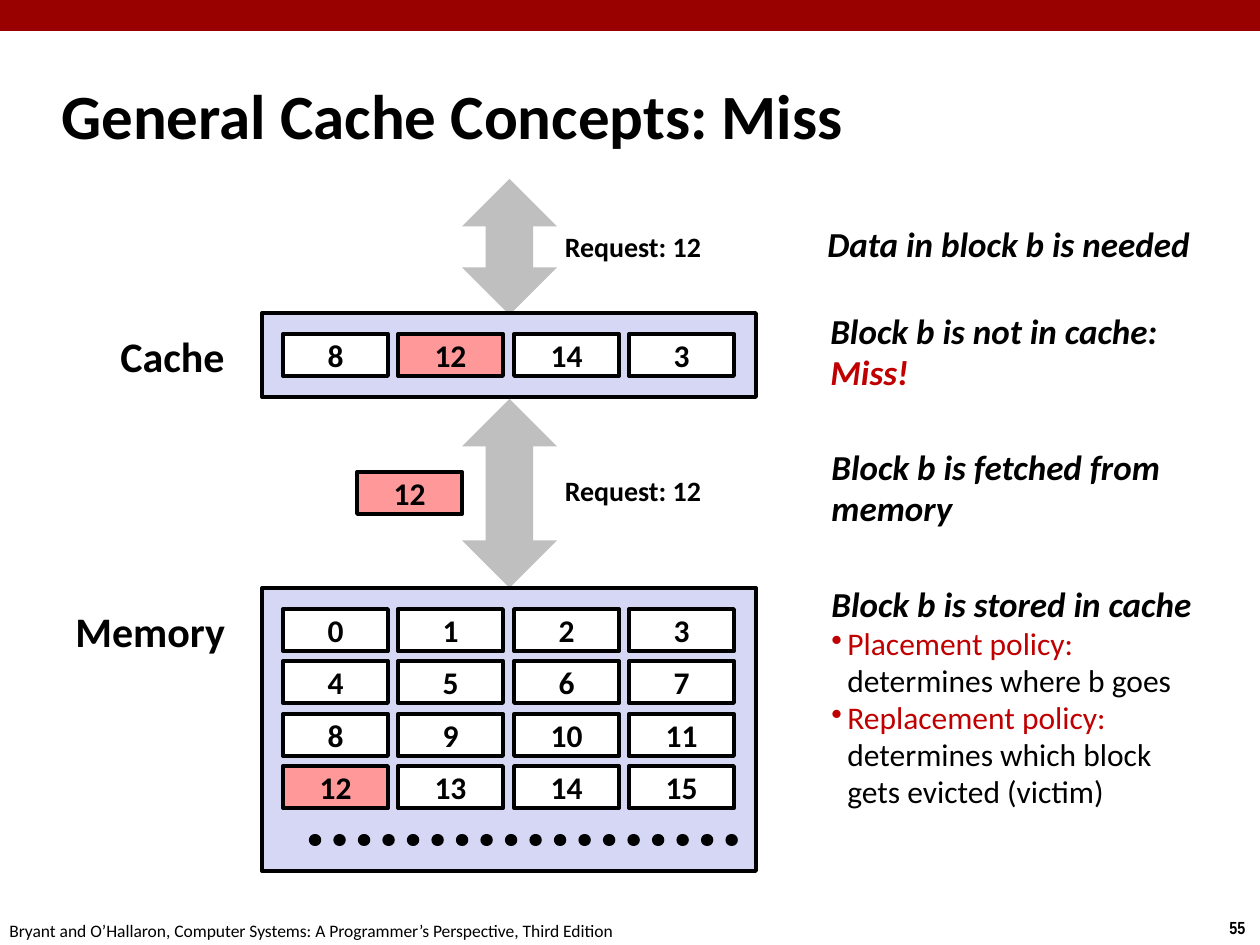
"""Build a slide on what happens when a cache lookup misses."""
from lxml import etree
from pptx import Presentation
from pptx.dml.color import RGBColor
from pptx.enum.dml import MSO_LINE
from pptx.enum.shapes import MSO_CONNECTOR, MSO_SHAPE as SHAPE
from pptx.enum.text import MSO_ANCHOR as ANCHOR, MSO_AUTO_SIZE as AUTO, PP_ALIGN as ALIGN
from pptx.oxml.ns import qn
from pptx.util import Pt

PX = 914400 / 126
BLACK, WHITE, RED, PINK, LILAC = "000000", "FFFFFF", "C00000", "FF9999", "D6D6F5"


def emu(*lengths):
    return [round(n * PX) for n in lengths]


def color(fmt, value):
    fmt.rgb = RGBColor.from_string(value)


prs = Presentation()
prs.slide_width, prs.slide_height = emu(1260, 945)
slide = prs.slides.add_slide(prs.slide_layouts[6])

shapes = [
    (SHAPE.RECTANGLE, 0, 0, 1260, 31, "990000", False, ""),
    (SHAPE.UP_DOWN_ARROW, 462, 179, 95, 136, "BFBFBF", False, ""),
    (SHAPE.UP_DOWN_ARROW, 462, 399, 95, 189, "BFBFBF", False, ""),
    (SHAPE.RECTANGLE, 262, 588, 494, 283, LILAC, True, ""),
    (SHAPE.RECTANGLE, 262, 313, 494, 84, LILAC, True, ""),
    (SHAPE.RECTANGLE, 357, 472, 105, 42, PINK, True, "12"),
]
blocks = [(i % 4, 609 + 105 * (i // 4) // 2, i) for i in range(16)]
blocks += [(col, 334, n) for col, n in enumerate([8, 12, 14, 3])]
for col, y, n in blocks:
    fill = PINK if n == 12 else WHITE
    shapes.append((SHAPE.RECTANGLE, 283 + 231 * col // 2, y, 105, 42, fill, True, str(n)))

for kind, x, y, w, h, fill, outlined, label in shapes:
    s = slide.shapes.add_shape(kind, *emu(x, y, w, h))
    s.shadow.inherit = False
    s.fill.solid()
    color(s.fill.fore_color, fill)
    if outlined:
        color(s.line.color, BLACK)
        s.line.width = Pt(2.25)
    else:
        s.line.fill.background()
    if label:
        tf = s.text_frame
        tf.vertical_anchor = ANCHOR.MIDDLE
        p = tf.paragraphs[0]
        p.alignment = ALIGN.CENTER
        r = p.add_run()
        r.text = label
        r.font.name, r.font.size, r.font.bold = "Calibri", Pt(18), True
        color(r.font.color, BLACK)

dots = slide.shapes.add_connector(MSO_CONNECTOR.STRAIGHT, *emu(315, 840, 735, 840))
color(dots.line.color, BLACK)
dots.line.width = Pt(7)
dots.line.dash_style = MSO_LINE.ROUND_DOT
dots.line._get_or_add_ln().set("cap", "rnd")
etree.SubElement(dots._element.spPr, qn("a:effectLst"))

labels = [
    (49, 62, 1046, 105, "General Cache Concepts: Miss", 36, True, "Calibri", ALIGN.LEFT, ANCHOR.MIDDLE),
    (108, 324, 131, 63, "Cache", 24, True, "Calibri", ALIGN.LEFT, ANCHOR.TOP),
    (63, 599, 176, 63, "Memory", 24, True, "Calibri", ALIGN.LEFT, ANCHOR.TOP),
    (551, 223, 164, 47, "Request: 12", 16, True, "Calibri", ALIGN.CENTER, ANCHOR.TOP),
    (551, 467, 164, 47, "Request: 12", 16, True, "Calibri", ALIGN.CENTER, ANCHOR.TOP),
    (1217, 911, 43, 34, "55", 10, True, "Arial Narrow", ALIGN.LEFT, ANCHOR.TOP),
    (-3, 914, 640, 34, "Bryant and O’Hallaron, Computer Systems: A Programmer’s Perspective, Third Edition",
     10, False, "Calibri", ALIGN.LEFT, ANCHOR.TOP),
]
for x, y, w, h, text, size, bold, font, align, anchor in labels:
    tf = slide.shapes.add_textbox(*emu(x, y, w, h)).text_frame
    tf.word_wrap = False
    tf.vertical_anchor = anchor
    p = tf.paragraphs[0]
    p.alignment = align
    r = p.add_run()
    r.text = text
    r.font.name, r.font.size, r.font.bold = font, Pt(size), bold
    color(r.font.color, BLACK)

notes = [
    (815, 218, 389, 54, [("Data in block b is needed", BLACK)], []),
    (818, 305, 354, 96, [("Block b is not in cache:", BLACK), ("Miss!", RED)], []),
    (819, 441, 357, 96, [("Block b is fetched from", BLACK), ("memory", BLACK)], []),
    (819, 577, 387, 242, [("Block b is stored in cache", BLACK)], [
        ("Placement policy:", "determines where b goes"),
        ("Replacement policy:", "determines which block", "gets evicted (victim)"),
    ]),
]
for x, y, w, h, headings, policies in notes:
    tf = slide.shapes.add_textbox(*emu(x, y, w, h)).text_frame
    tf.word_wrap = False
    tf.auto_size = AUTO.SHAPE_TO_FIT_TEXT
    tf.vertical_anchor = ANCHOR.MIDDLE
    paragraphs = [([heading], False) for heading in headings]
    for name, *lines in policies:
        paragraphs.append(([(name, RED)] + [(line, BLACK) for line in lines], True))
    for i, (runs, bulleted) in enumerate(paragraphs):
        p = tf.add_paragraph() if i else tf.paragraphs[0]
        p.line_spacing = 0.98
        if bulleted:
            pPr = p._p.get_or_add_pPr()
            indent, = emu(16)
            pPr.set("marL", str(indent))
            pPr.set("indent", str(-indent))
            etree.SubElement(pPr, qn("a:buChar"), char="•")
        for j, (text, ink) in enumerate(runs):
            if j:
                p.add_line_break()
            r = p.add_run()
            r.text = text
            r.font.name, r.font.size = "Calibri", Pt(18 if bulleted else 20)
            r.font.bold = r.font.italic = not bulleted
            color(r.font.color, ink)

prs.save("out.pptx")
